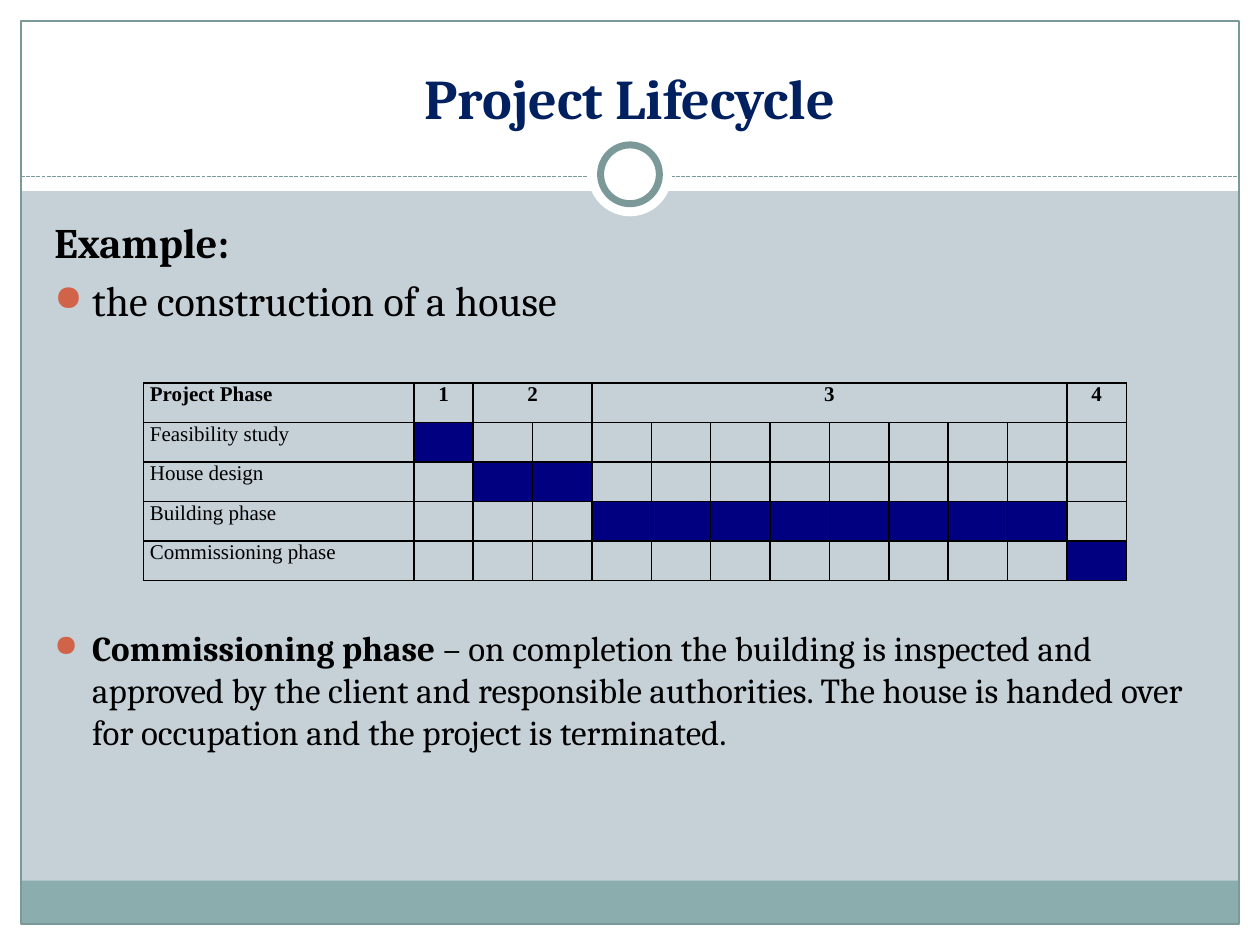
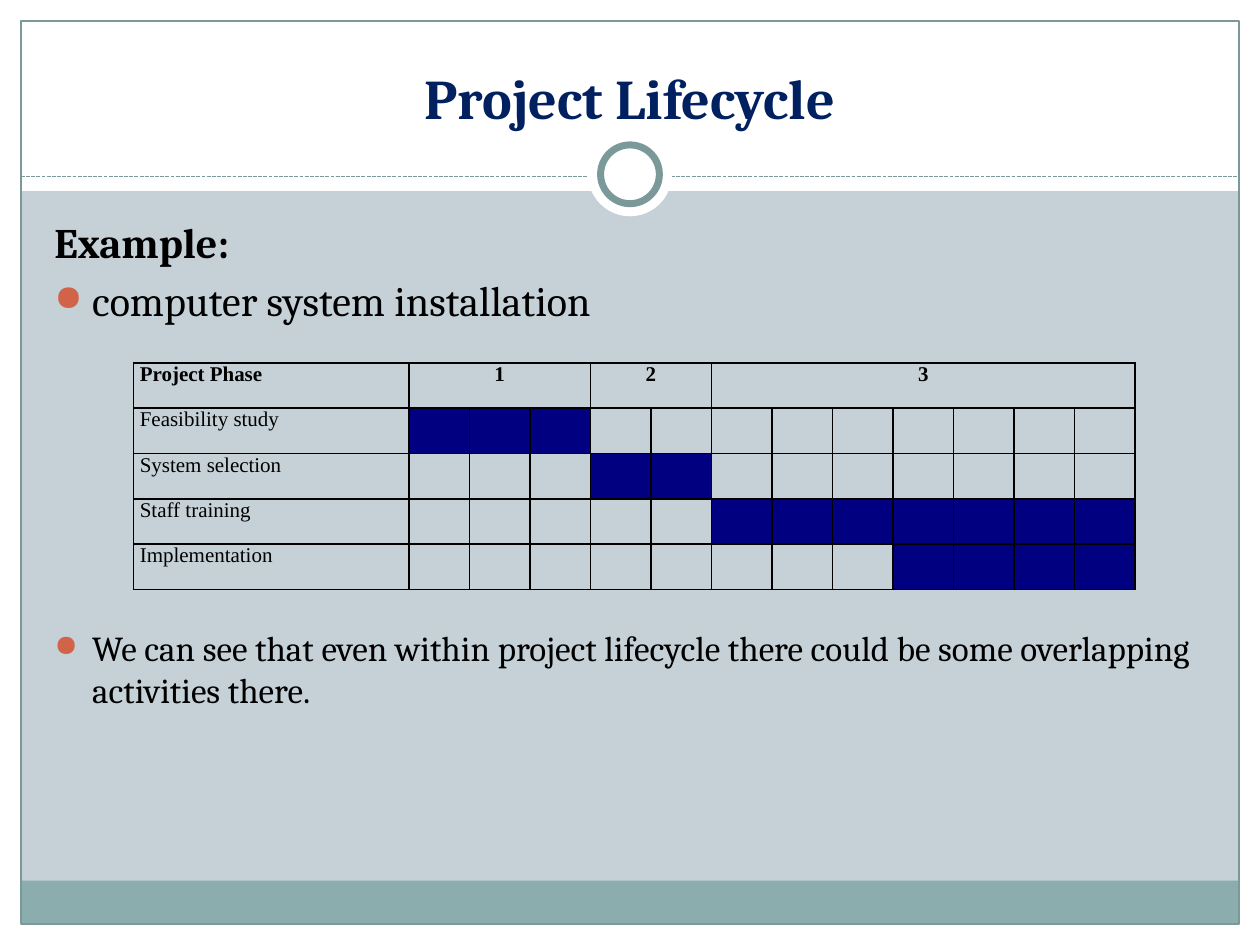
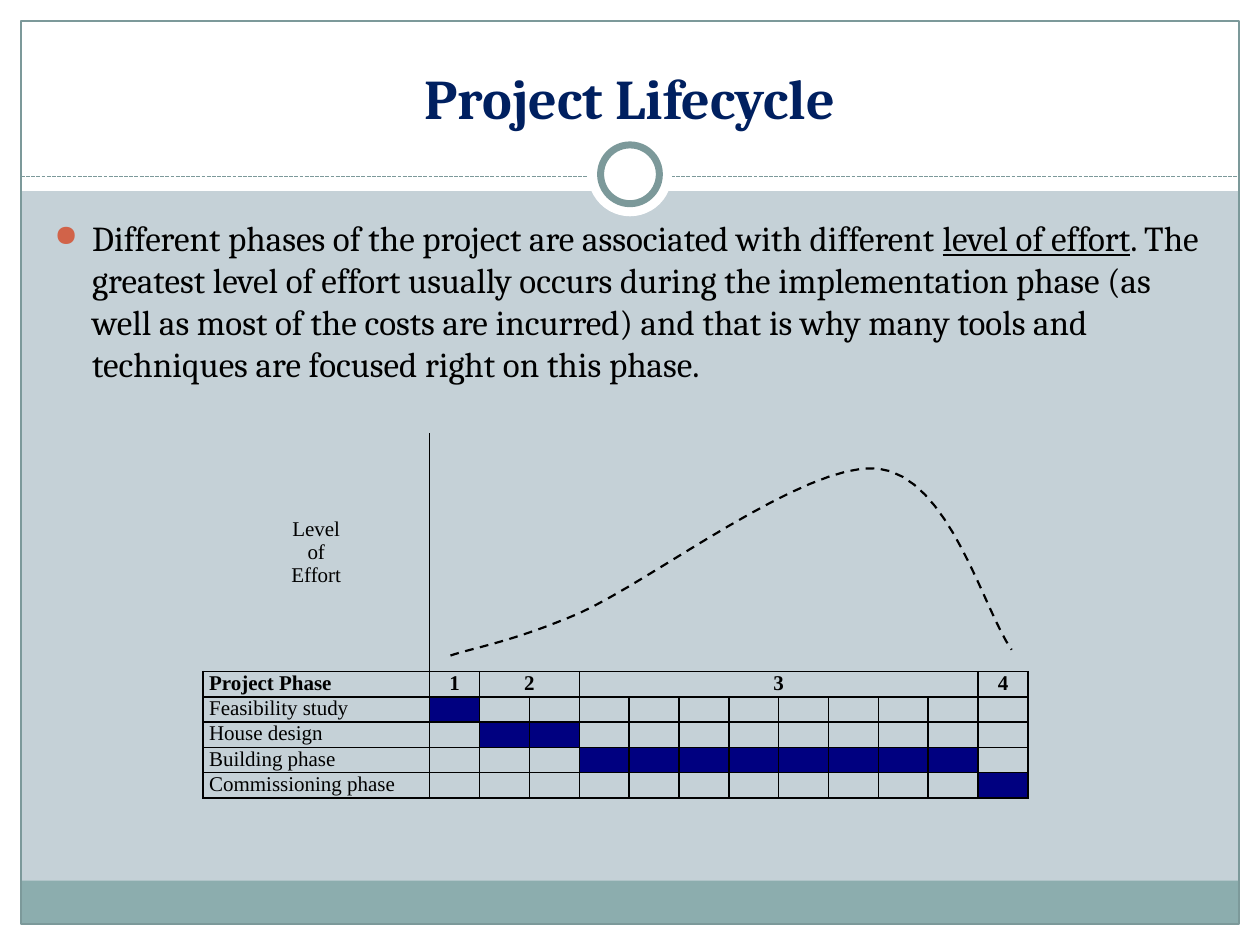
from collections import namedtuple

from lxml import etree
from pptx import Presentation
from pptx.dml.color import RGBColor
from pptx.enum.dml import MSO_LINE
from pptx.enum.shapes import MSO_CONNECTOR, MSO_SHAPE
from pptx.enum.text import MSO_ANCHOR, PP_ALIGN
from pptx.oxml.ns import qn
from pptx.util import Inches, Pt

RECT, OVAL = MSO_SHAPE.RECTANGLE, MSO_SHAPE.OVAL
STRAIGHT = MSO_CONNECTOR.STRAIGHT
SYS_DASH, DASH = MSO_LINE.SQUARE_DOT, MSO_LINE.DASH
TOP, MIDDLE, BOTTOM = MSO_ANCHOR.TOP, MSO_ANCHOR.MIDDLE, MSO_ANCHOR.BOTTOM
LEFT, CENTER = PP_ALIGN.LEFT, PP_ALIGN.CENTER

COLORS = {
    "ground": "C5D1D7", "paper": "FFFFFF", "band": "8CADAE", "rule": "7C999A",
    "title": "002060", "ink": "000000", "bullet": "D16349", "active": "000080",
}
BODY_FONT, TABLE_FONT = "Cambria", "Times New Roman"
LEAD_SIZE, NOTE_SIZE, TABLE_SIZE = 24, 20, 12

# The slide is a grid of 60 columns by 45 rows; boxes are given in its units
COLS, ROWS = 60, 45
PERIODS = 12          # time columns in every phase table
LABEL_COLS = 4.55     # label column, measured in time columns
EFFORT_ROWS = 9.45    # effort row, measured in phase rows
Box = namedtuple("Box", "x y w h")

prs = Presentation()
prs.slide_width, prs.slide_height = Inches(10), Inches(7.5)
UNIT = prs.slide_width / COLS


def emu(units):
    return round(units * UNIT)


def place(box):
    return [emu(length) for length in box]


def rgb(name):
    return RGBColor.from_string(COLORS[name])


def style_line(line, color, width, dash=None):
    line.color.rgb = rgb(color)
    line.width = Pt(width)
    if dash:
        line.dash_style = dash


def add_panel(slide, kind, box, fill=None, outline=None, width=0.75):
    panel = slide.shapes.add_shape(kind, *place(box))
    panel.shadow.inherit = False
    if fill:
        panel.fill.solid()
        panel.fill.fore_color.rgb = rgb(fill)
    else:
        panel.fill.background()
    if outline:
        style_line(panel.line, outline, width)
    else:
        panel.line.fill.background()


def add_run(paragraph, text, size, font=BODY_FONT, color="ink", bold=False, underline=False):
    run = paragraph.add_run()
    run.text = text
    run.font.size, run.font.name = Pt(size), font
    run.font.bold, run.font.underline = bold, underline
    run.font.color.rgb = rgb(color)


def add_text_frame(slide, box, anchor=TOP):
    frame = slide.shapes.add_textbox(*place(box)).text_frame
    frame.word_wrap = True
    frame.vertical_anchor = anchor
    return frame


def add_bullet(paragraph):
    props = paragraph._p.get_or_add_pPr()
    props.set("marL", str(Inches(0.3)))
    props.set("indent", str(-Inches(0.3)))
    color = etree.SubElement(props, qn("a:buClr"))
    etree.SubElement(color, qn("a:srgbClr"), val=COLORS["bullet"])
    etree.SubElement(props, qn("a:buSzPct"), val="85000")
    etree.SubElement(props, qn("a:buChar"), char="●")


def body_paragraph(paragraph, size, runs, bullet=True):
    """Each run is a text with a dict of its emphasis."""
    paragraph.space_before = Pt(size * 0.2)
    if bullet:
        add_bullet(paragraph)
    for text, emphasis in runs:
        add_run(paragraph, text, size, **emphasis)


# Shared frame: white margins, footer band, rule, ring and title
def add_base_slide(title):
    slide = prs.slides.add_slide(prs.slide_layouts[6])
    slide.background.fill.solid()
    slide.background.fill.fore_color.rgb = rgb("ground")

    for margin in (Box(0, ROWS - 1, COLS, 1), Box(0, 0, COLS, 9.1),
                   Box(0, 0, 1, ROWS), Box(COLS - 1, 0, 1, ROWS)):
        add_panel(slide, RECT, margin, "paper")
    add_panel(slide, RECT, Box(1, 41.94, COLS - 2, 2.06), "band")
    add_panel(slide, RECT, Box(1, 1, COLS - 2, ROWS - 2), outline="rule")

    rule = slide.shapes.add_connector(
        STRAIGHT, emu(1), emu(8.4), emu(COLS - 1), emu(8.4))
    style_line(rule.line, "rule", 0.75, SYS_DASH)
    etree.SubElement(rule._element.spPr, qn("a:effectLst"))

    add_panel(slide, OVAL, Box(28, 6.3, 4, 4), "paper")
    add_panel(slide, OVAL, Box(28.6, 6.9, 2.8, 2.8), "paper", "rule", 4)

    heading = add_text_frame(slide, Box(2, 1.5, 56, 5), BOTTOM).paragraphs[0]
    heading.alignment = CENTER
    add_run(heading, title, 32, color="title", bold=True)
    return slide


def add_example(slide, box, subject):
    frame = add_text_frame(slide, box)
    body_paragraph(frame.paragraphs[0], LEAD_SIZE, [("Example:", {"bold": True})], bullet=False)
    body_paragraph(frame.add_paragraph(), LEAD_SIZE, [(subject, {})])


def add_note(slide, box, runs):
    body_paragraph(add_text_frame(slide, box).paragraphs[0], NOTE_SIZE, runs)


def style_cell(cell, sides="LRTB", active=False):
    cell.margin_left = cell.margin_right = Inches(0.05)
    cell.margin_top = cell.margin_bottom = 0
    props = cell._tc.get_or_add_tcPr()
    for side in "LRTB":
        border = etree.SubElement(props, qn(f"a:ln{side}"), w=str(Pt(1)))
        if side in sides:
            paint = etree.SubElement(border, qn("a:solidFill"))
            etree.SubElement(paint, qn("a:srgbClr"), val=COLORS["ink"])
        else:
            etree.SubElement(border, qn("a:noFill"))
    if active:
        cell.fill.solid()
        cell.fill.fore_color.rgb = rgb("active")
    else:
        cell.fill.background()
    # Empty cells keep the table's text size so that rows stay low
    end = cell.text_frame.paragraphs[0]._p.get_or_add_endParaRPr()
    end.set("sz", str(TABLE_SIZE * 100))


def write_cell(cell, lines, align=LEFT, bold=False):
    frame = cell.text_frame
    for index, text in enumerate(lines):
        paragraph = frame.add_paragraph() if index else frame.paragraphs[0]
        paragraph.alignment = align
        add_run(paragraph, text, TABLE_SIZE, TABLE_FONT, bold=bold)


# Phase table: numbered header spans, then one row per phase;
# a phase is its label with its first and last period
def add_phase_table(slide, box, spans, phases, effort_label=None):
    header = 1 if effort_label else 0
    heights = [EFFORT_ROWS] * header + [1] * (len(phases) + 1)
    table = slide.shapes.add_table(len(heights), PERIODS + 1, *place(box)).table
    table.first_row = table.horz_banding = False

    period_width = box.w / (PERIODS + LABEL_COLS)
    for index, column in enumerate(table.columns):
        column.width = emu(period_width * (1 if index else LABEL_COLS))
    for row, height in zip(table.rows, heights):
        row.height = emu(box.h * height / sum(heights))

    # Effort row, with only the axis and the header's edge drawn
    if effort_label:
        for index in range(PERIODS + 1):
            sides = {0: "RB", 1: "LB"}.get(index, "B")
            style_cell(table.cell(0, index), sides)
        table.cell(0, 1).merge(table.cell(0, PERIODS))
        table.cell(0, 0).vertical_anchor = MIDDLE
        write_cell(table.cell(0, 0), effort_label, CENTER)

    # Header row
    for index in range(PERIODS + 1):
        style_cell(table.cell(header, index))
    write_cell(table.cell(header, 0), ["Project Phase"], bold=True)
    start = 1
    for number, span in enumerate(spans, 1):
        cell = table.cell(header, start)
        if span > 1:
            cell.merge(table.cell(header, start + span - 1))
        write_cell(cell, [str(number)], CENTER, bold=True)
        start += span

    # Phase rows
    for row, (label, first, last) in enumerate(phases, header + 1):
        for index in range(PERIODS + 1):
            style_cell(table.cell(row, index), active=first <= index <= last)
        write_cell(table.cell(row, 0), [label])


def bezier(points, t):
    weights = ((1 - t) ** 3, 3 * t * (1 - t) ** 2, 3 * t * t * (1 - t), t ** 3)
    return tuple(sum(w * p[axis] for w, p in zip(weights, points)) for axis in (0, 1))


# Effort curve: Bezier knots and handles as shares of its box
def add_effort_curve(slide, box):
    knots = [(0, 1), (0.04, 0.96), (0.11, 0.93), (0.23, 0.78), (0.36, 0.61),
             (0.63, 0), (0.76, 0.03), (0.89, 0.07), (0.95, 0.77), (1, 0.97)]
    steps = 16
    shares = [bezier(knots[i:i + 4], step / steps)
              for i in range(0, len(knots) - 1, 3) for step in range(1, steps + 1)]
    points = [(emu(box.x + box.w * x), emu(box.y + box.h * y))
              for x, y in [knots[0]] + shares]
    builder = slide.shapes.build_freeform(*points[0])
    builder.add_line_segments(points[1:], close=False)
    curve = builder.convert_to_shape()
    curve.shadow.inherit = False
    curve.fill.background()
    style_line(curve.line, "ink", 1.25, DASH)


def add_effort_chart(slide, box, spans, phases):
    add_phase_table(slide, box, spans, phases, ["Level", "of", "Effort"])
    add_effort_curve(slide, Box(box.x + 0.3 * box.w, box.y + 0.08 * box.h,
                                0.68 * box.w, 0.53 * box.h))


TITLE = "Project Lifecycle"
EXAMPLE_BOX = Box(2, 10, 56.4, 7)
NOTE_BOX = Box(2, 29.53, 56.4, 10)
HOUSE_SPANS = [1, 2, 8, 1]
HOUSE_PHASES = [("Feasibility study", 1, 1), ("House design", 2, 3),
                ("Building phase", 4, 11), ("Commissioning phase", 12, 12)]
SYSTEM_SPANS = [3, 2, 7]
SYSTEM_PHASES = [("Feasibility study", 1, 3), ("System selection", 4, 5),
                 ("Staff training", 6, 12), ("Implementation", 9, 12)]

# House example
house = add_base_slide(TITLE)
add_example(house, EXAMPLE_BOX, "the construction of a house")
add_note(house, NOTE_BOX, [
    ("Commissioning phase", {"bold": True}),
    (" – on completion the building is inspected and approved by the client and "
     "responsible authorities. The house is handed over for occupation and the "
     "project is terminated.", {})])
add_phase_table(house, Box(6.84, 18.24, 46.8, 9.42), HOUSE_SPANS, HOUSE_PHASES)

# Computer system example
system = add_base_slide(TITLE)
add_example(system, EXAMPLE_BOX, "computer system installation")
add_note(system, NOTE_BOX, [
    ("We can see that even within project lifecycle there could be some "
     "overlapping activities there.", {})])
add_phase_table(system, Box(6.36, 17.28, 47.7, 10.8), SYSTEM_SPANS, SYSTEM_PHASES)

# Level of effort
effort = add_base_slide(TITLE)
add_note(effort, EXAMPLE_BOX, [
    ("Different phases of the project are associated with different ", {}),
    ("level of effort", {"underline": True}),
    (". The greatest level of effort usually occurs during the implementation "
     "phase (as well as most of the costs are incurred) and that is why many "
     "tools and techniques are focused right on this phase.", {})])
add_effort_chart(effort, Box(9.66, 20.64, 39.3, 17.34), HOUSE_SPANS, HOUSE_PHASES)

prs.save("out.pptx")
